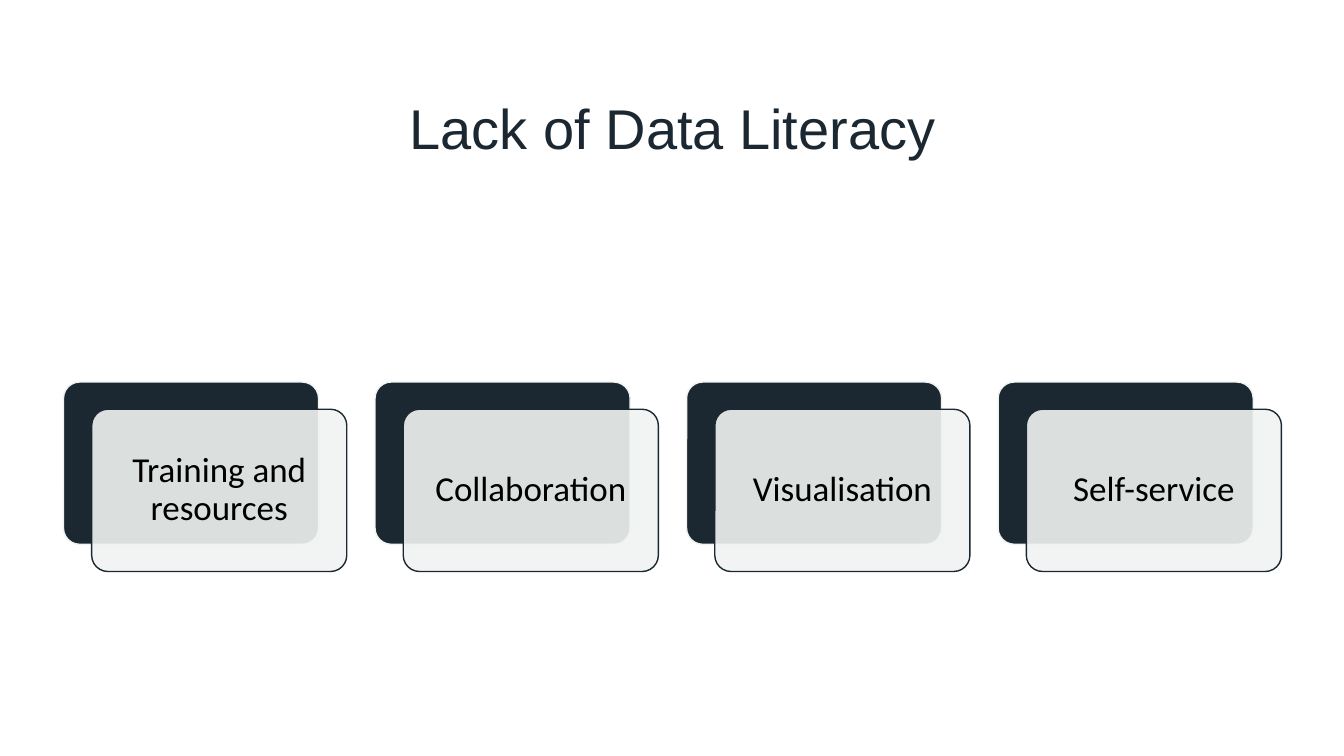
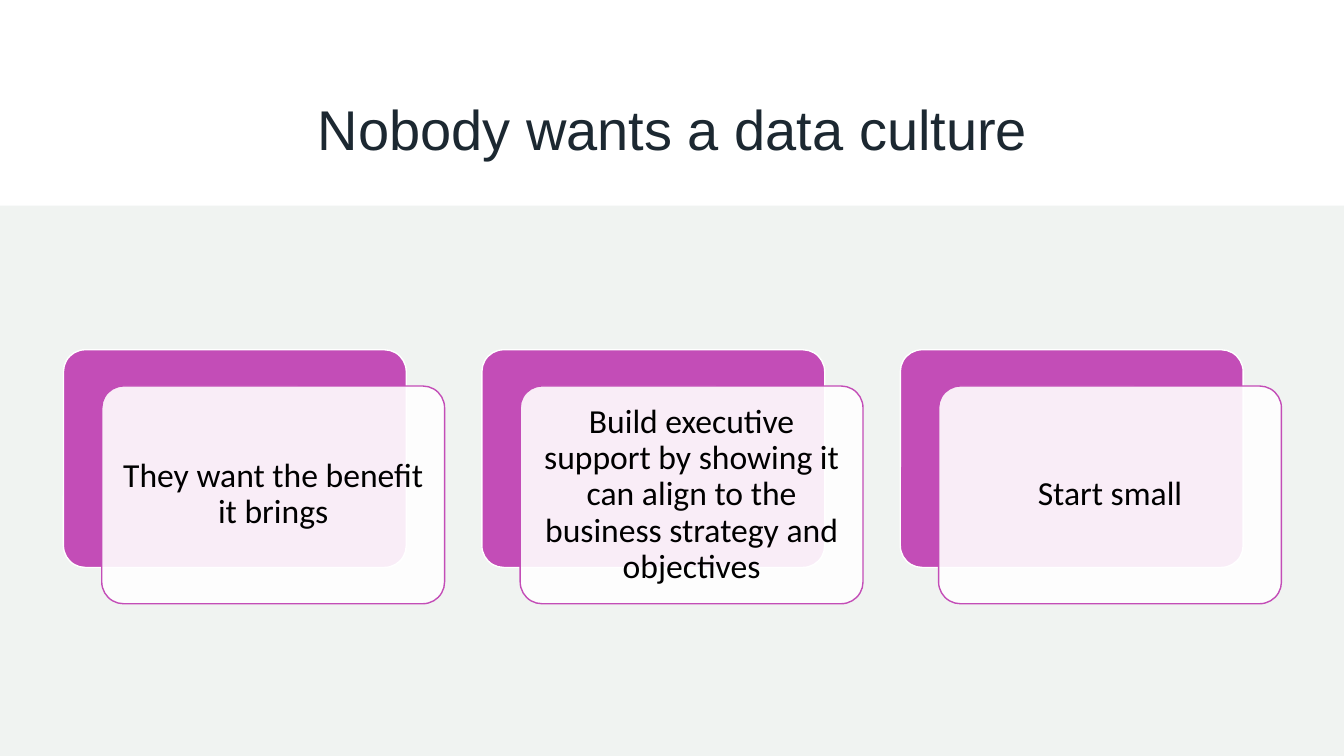
from dataclasses import dataclass

from lxml.etree import SubElement
from pptx import Presentation
from pptx.dml.color import RGBColor
from pptx.enum.shapes import MSO_SHAPE
from pptx.enum.text import MSO_ANCHOR, PP_ALIGN
from pptx.oxml.ns import qn
from pptx.shapes.autoshape import Shape
from pptx.slide import Slide
from pptx.text.text import TextFrame
from pptx.util import Inches, Pt

COLORS = {
    "navy": "1C2831",
    "mist": "F0F3F1",
    "magenta": "C34DB7",
    "white": "FFFFFF",
    "black": "000000",
}
SLIDE_WIDTH, SLIDE_HEIGHT = 13.33, 7.5
ROW_LEFT, ROW_RIGHT = 0.63, 12.71
BAND_TOP = 2.04


@dataclass(frozen=True)
class CardStyle:
    top: float
    width: float
    height: float
    shift_x: float
    shift_y: float
    accent: str
    pale: str
    text_size: int


@dataclass(frozen=True)
class CardPage:
    title: str
    labels: tuple[str, ...]
    style: CardStyle
    title_top: float
    title_height: float
    has_band: bool = False


PAGES = (
    CardPage(
        "Lack of Data Literacy",
        ("Training and resources", "Collaboration", "Visualisation", "Self-service"),
        CardStyle(3.79, 2.53, 1.61, 0.28, 0.27, "navy", "mist", 25),
        title_top=0.56,
        title_height=1.48,
    ),
    CardPage(
        "Nobody wants a data culture",
        (
            "They want the benefit it brings",
            "Build executive support by showing it can align to the business "
            "strategy and objectives",
            "Start small",
        ),
        CardStyle(3.47, 3.4, 2.16, 0.38, 0.36, "magenta", "white", 24),
        title_top=0.77,
        title_height=1.09,
        has_band=True,
    ),
)


def rgb(name: str) -> RGBColor:
    return RGBColor.from_string(COLORS[name])


def write_centred(frame: TextFrame, text: str, font: str, size: int, color: str) -> None:
    frame.text = text
    frame.word_wrap = True
    frame.vertical_anchor = MSO_ANCHOR.MIDDLE
    para = frame.paragraphs[0]
    para.alignment = PP_ALIGN.CENTER
    para.line_spacing = 0.9
    span = para.runs[0]
    span.font.name = font
    span.font.size = Pt(size)
    span.font.color.rgb = rgb(color)


def add_title(page: Slide, content: CardPage) -> None:
    box = page.shapes.add_textbox(
        Inches(1.56), Inches(content.title_top), Inches(10.22), Inches(content.title_height)
    )
    write_centred(box.text_frame, content.title, "Arial", 40, "navy")


def add_band(page: Slide) -> None:
    band = page.shapes.add_shape(
        MSO_SHAPE.RECTANGLE,
        0, Inches(BAND_TOP), Inches(SLIDE_WIDTH), Inches(SLIDE_HEIGHT - BAND_TOP),
    )
    band.shadow.inherit = False
    band.fill.solid()
    band.fill.fore_color.rgb = rgb("mist")
    band.line.fill.background()


def add_plate(
    page: Slide, left: float, top: float, style: CardStyle, fill: str, line: str
) -> Shape:
    plate = page.shapes.add_shape(
        MSO_SHAPE.ROUNDED_RECTANGLE,
        Inches(left), Inches(top), Inches(style.width), Inches(style.height),
    )
    plate.adjustments[0] = 0.1
    plate.shadow.inherit = False
    plate.fill.solid()
    plate.fill.fore_color.rgb = rgb(fill)
    plate.line.color.rgb = rgb(line)
    plate.line.width = Pt(1)
    return plate


def set_opacity(shape: Shape, percent: int) -> None:
    color = shape.fill._xPr.find(qn("a:solidFill"))[0]
    SubElement(color, qn("a:alpha")).set("val", str(percent * 1000))


def add_card(page: Slide, left: float, label: str, style: CardStyle) -> None:
    """Draw a solid plate with a translucent labelled plate shifted over it."""
    add_plate(page, left, style.top, style, style.accent, style.pale)
    front = add_plate(
        page, left + style.shift_x, style.top + style.shift_y, style, style.pale, style.accent
    )
    set_opacity(front, 90)
    frame = front.text_frame
    frame.margin_left = frame.margin_right = Inches(0.1)
    frame.margin_top = frame.margin_bottom = Inches(0.1)
    write_centred(frame, label, "Calibri", style.text_size, "black")


def add_card_row(page: Slide, labels: tuple[str, ...], style: CardStyle) -> None:
    """Spread the cards evenly between the row's two edges."""
    card_width = style.width + style.shift_x
    step = (ROW_RIGHT - ROW_LEFT - card_width) / (len(labels) - 1)
    for index, label in enumerate(labels):
        add_card(page, ROW_LEFT + index * step, label, style)


def main() -> None:
    deck = Presentation()
    deck.slide_width = Inches(SLIDE_WIDTH)
    deck.slide_height = Inches(SLIDE_HEIGHT)
    for content in PAGES:
        page = deck.slides.add_slide(deck.slide_layouts[6])
        add_title(page, content)
        if content.has_band:
            add_band(page)
        add_card_row(page, content.labels, content.style)
    deck.save("out.pptx")


if __name__ == "__main__":
    main()
